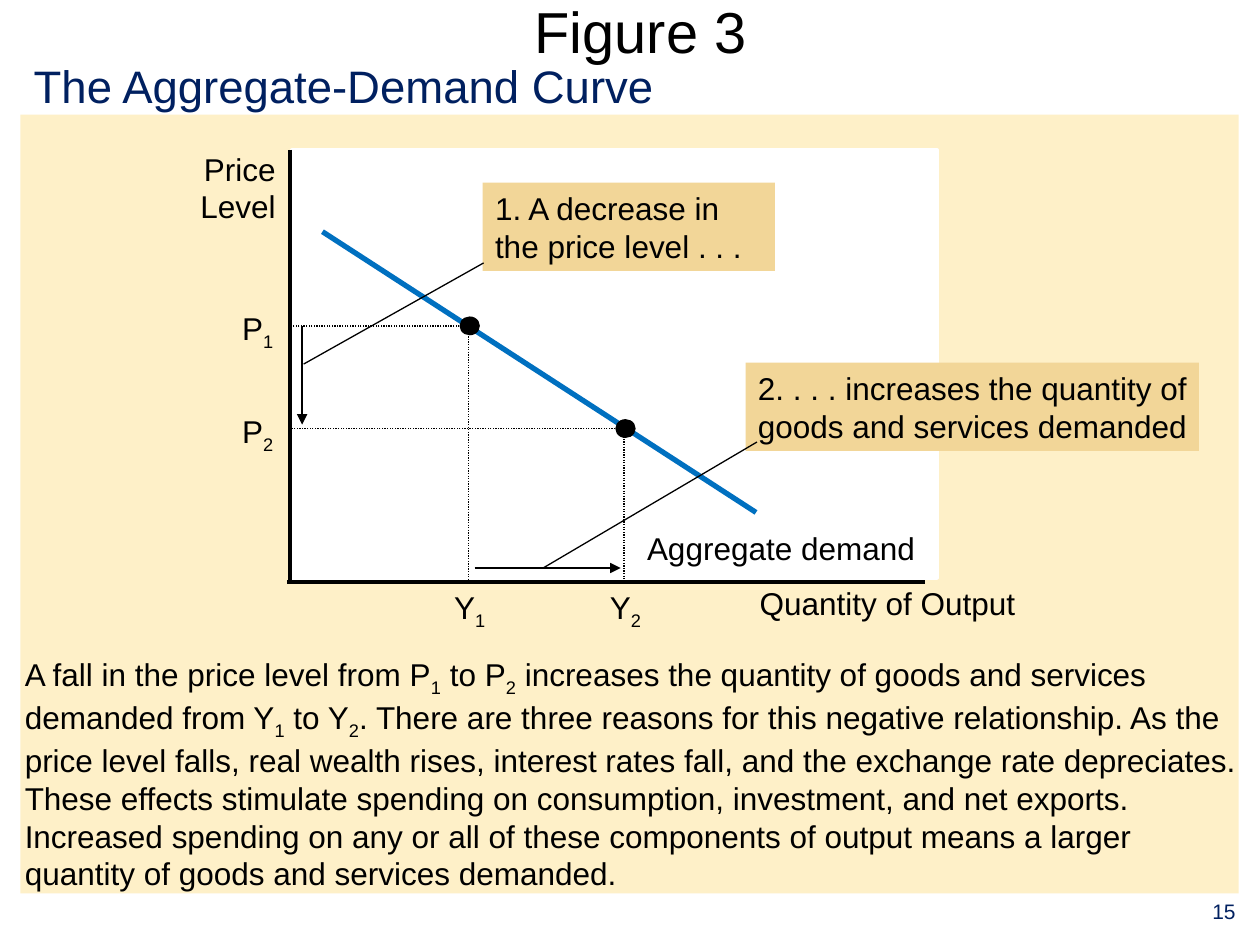
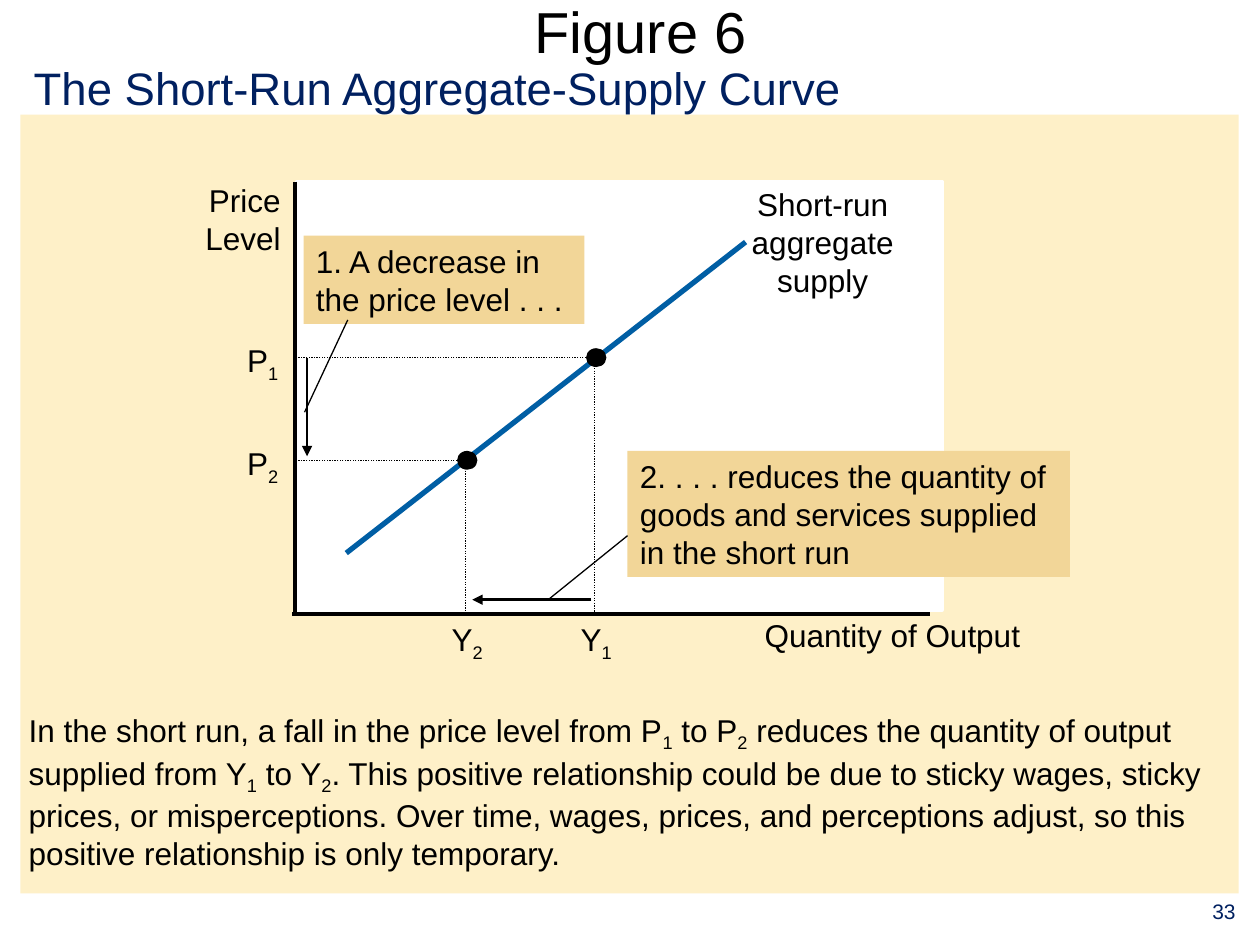
from dataclasses import dataclass
from lxml.etree import SubElement
from pptx import Presentation
from pptx.dml.color import RGBColor
from pptx.enum.dml import MSO_LINE
from pptx.enum.shapes import MSO_CONNECTOR, MSO_SHAPE
from pptx.enum.text import MSO_ANCHOR, MSO_AUTO_SIZE, PP_ALIGN
from pptx.oxml.ns import qn
from pptx.util import Cm, Pt


@dataclass(frozen=True)
class Theme:
    face: str = "Arial"
    ink: str = "000000"
    navy: str = "002060"
    white: str = "FFFFFF"
    cream: str = "FEF0C8"
    tan: str = "F2D698"
    head: int = 33
    sub: int = 26
    body: int = 18
    foot: int = 12


LOOK = Theme()
LEFT, MID, RIGHT = PP_ALIGN.LEFT, PP_ALIGN.CENTER, PP_ALIGN.RIGHT
PRICE = {"P_1": 5.16, "P_2": 3.09}
PLOT = (13, 8.64)
AXIS = (12.8, 8.71)
DOT = (0.41, 0.38)
TAG = (1.14, 1.12)

# Plot positions are centimetres right of and above the axis origin.
FIGURES = [
    dict(
        title="Figure 3",
        topic="The Aggregate-Demand Curve",
        topic_box=(0.43, 1.04, 13.06, 1.37),
        page="15",
        origin=(5.84, 11.73),
        output={"Y_1": 3.63, "Y_2": 6.77},
        curve=((0.66, 7.06), (9.4, 1.4)),
        color="0070C0",
        name=("Aggregate demand", (6.96, 1.19, 5.89, 1.02)),
        notes=[
            ("1. A decrease in the price level . . .",
             (3.89, 8.05, 5.89, 1.78), (3.91, 6.43), (0.28, 4.39)),
            ("2. . . . increases the quantity of\ngoods and services demanded",
             (9.19, 4.42, 9.14, 1.78), (9.42, 2.82), (5.11, 0.28)),
        ],
        text="A fall in the price level from P_1 to P_2 increases the quantity "
             "of goods and services demanded from Y_1 to Y_2. There are three "
             "reasons for this negative relationship. As the price level falls, "
             "real wealth rises, interest rates fall, and the exchange rate "
             "depreciates. These effects stimulate spending on consumption, "
             "investment, and net exports. Increased spending on any or all of "
             "these components of output means a larger quantity of goods and "
             "services demanded.",
        text_box=(0.25, 13.08, 25.04, 5.03),
    ),
    dict(
        title="Figure 6",
        topic="The Short-Run Aggregate-Supply Curve",
        topic_box=(0.43, 1.09, 16.84, 1.37),
        page="33",
        origin=(5.94, 12.37),
        output={"Y_1": 6.08, "Y_2": 3.48},
        curve=((1.04, 1.22), (9.09, 7.49)),
        color="005EA4",
        name=("Short-run\naggregate\nsupply", (8.97, 8.76, 3.35, 2.54)),
        notes=[
            ("1. A decrease in the price level . . .",
             (0.18, 7.62, 5.66, 1.78), (1.07, 5.92), (0.2, 4.06)),
            ("2. . . . reduces the quantity of goods and services supplied "
             "in the short run",
             (6.71, 3.28, 8.92, 2.54), (6.71, 1.57), (5.11, 0.28)),
        ],
        text="In the short run, a fall in the price level from P_1 to P_2 "
             "reduces the quantity of output supplied from Y_1 to Y_2. This "
             "positive relationship could be due to sticky wages, sticky "
             "prices, or misperceptions. Over time, wages, prices, and "
             "perceptions adjust, so this positive relationship is only "
             "temporary.",
        text_box=(0.33, 14.2, 24.92, 3.51),
    ),
]


def rgb(code):
    return RGBColor.from_string(code)


def cms(values):
    return [Cm(value) for value in values]


def write(frame, text, size=LOOK.body, color=LOOK.ink, align=LEFT,
          wrap=False, before=0):
    frame.word_wrap = wrap
    frame.auto_size = MSO_AUTO_SIZE.NONE
    for row, line in enumerate(text.split("\n")):
        para = frame.add_paragraph() if row else frame.paragraphs[0]
        para.alignment = align
        para.space_before = Pt(before)
        para.font.name = LOOK.face
        para.font.size = Pt(size)
        para.font.color.rgb = rgb(color)
        first, *parts = line.split("_")
        para.add_run().text = first
        for part in parts:
            low = para.add_run()
            low.text = part[0]
            low.font._element.set("baseline", "-25000")
            if part[1:]:
                para.add_run().text = part[1:]


def label(slide, box, text, **style):
    write(slide.shapes.add_textbox(*cms(box)).text_frame, text, **style)


def block(slide, box, fill, kind=MSO_SHAPE.RECTANGLE):
    shape = slide.shapes.add_shape(kind, *cms(box))
    shape.shadow.inherit = False
    shape.fill.solid()
    shape.fill.fore_color.rgb = rgb(fill)
    shape.line.fill.background()
    return shape


class Graph:
    def __init__(self, slide, origin):
        self.slide = slide
        self.x, self.y = origin

    def at(self, x, up):
        return self.x + x, self.y - up

    def box(self, x, up, wide, high):
        return *self.at(x, up), wide, high

    def label(self, box, text, **style):
        label(self.slide, self.box(*box), text, **style)

    def line(self, start, end, width=0.75, color=LOOK.ink, dots=False,
             arrow=False):
        ends = cms(self.at(*start) + self.at(*end))
        link = self.slide.shapes.add_connector(MSO_CONNECTOR.STRAIGHT, *ends)
        link.line.width = Pt(width)
        link.line.color.rgb = rgb(color)
        if dots:
            link.line.dash_style = MSO_LINE.ROUND_DOT
        if arrow:
            SubElement(link.line._get_or_add_ln(), qn("a:tailEnd"),
                       type="triangle")
        SubElement(link._element.spPr, qn("a:effectLst"))


def draw(slide, fig):
    graph = Graph(slide, fig["origin"])
    wide, high = AXIS
    plot = block(slide, graph.box(0.05, high, *PLOT), LOOK.white)
    plot.line.color.rgb = rgb(LOOK.white)
    plot.line.width = Pt(2)
    graph.line((0, high), (0, 0), 2.25)
    graph.line((-0.05, 0), (wide, 0), 2.25)
    graph.label((-2.06, 8.84, 2.03, 1.78), "Price\nLevel", align=RIGHT)
    graph.label((9.22, 0.08, 5.66, 1.02), "Quantity of Output", align=MID)
    graph.line(*fig["curve"], width=3, color=fig["color"])
    name, place = fig["name"]
    graph.label(place, name, align=MID)

    for (cost, up), (good, x) in zip(PRICE.items(), fig["output"].items()):
        graph.line((x, up), (0.03, up), dots=True)
        graph.line((x - 0.03, up), (x - 0.03, 0), dots=True)
        graph.label((-1.22, up + 0.46, *TAG), cost, align=RIGHT)
        graph.label((x - TAG[0] / 2, 0, *TAG), good, align=MID)
        block(slide, graph.box(x - DOT[0] / 2, up + DOT[1] / 2, *DOT),
              LOOK.ink, MSO_SHAPE.OVAL)

    top, low = PRICE.values()
    graph.line((0.25, top), (0.25, low + 0.08), 1.5, arrow=True)
    start, end = fig["output"].values()
    gap = 0.1 if end > start else -0.1
    graph.line((start + gap, 0.28), (end - gap, 0.28), 1.5, arrow=True)

    for text, place, near, far in fig["notes"]:
        note = block(slide, graph.box(*place), LOOK.tan)
        note.text_frame.vertical_anchor = MSO_ANCHOR.TOP
        write(note.text_frame, text, wrap="\n" not in text)
        graph.line(near, far)


def build(deck, fig):
    slide = deck.slides.add_slide(deck.slide_layouts[5])
    title = slide.shapes.title
    title.left, title.top, title.width, title.height = cms((0.89, 0, 24.05, 1.24))
    frame = title.text_frame
    frame.margin_left = frame.margin_right = 0
    frame.margin_top = frame.margin_bottom = 0
    frame.vertical_anchor = MSO_ANCHOR.MIDDLE
    write(frame, fig["title"], LOOK.head, align=MID, wrap=True)
    block(slide, (0.41, 2.31, 24.56, 15.7), LOOK.cream)
    label(slide, fig["topic_box"], fig["topic"], size=LOOK.sub,
          color=LOOK.navy, before=6.5)
    draw(slide, fig)
    label(slide, fig["text_box"], fig["text"], wrap=True, before=4.5)
    label(slide, (23.95, 17.98, 1.45, 1.04), fig["page"], size=LOOK.foot,
          color=LOOK.navy, align=MID, wrap=True)


def main():
    deck = Presentation()
    deck.slide_width, deck.slide_height = cms((25.4, 19.05))
    for fig in FIGURES:
        build(deck, fig)
    deck.save("out.pptx")


if __name__ == "__main__":
    main()
